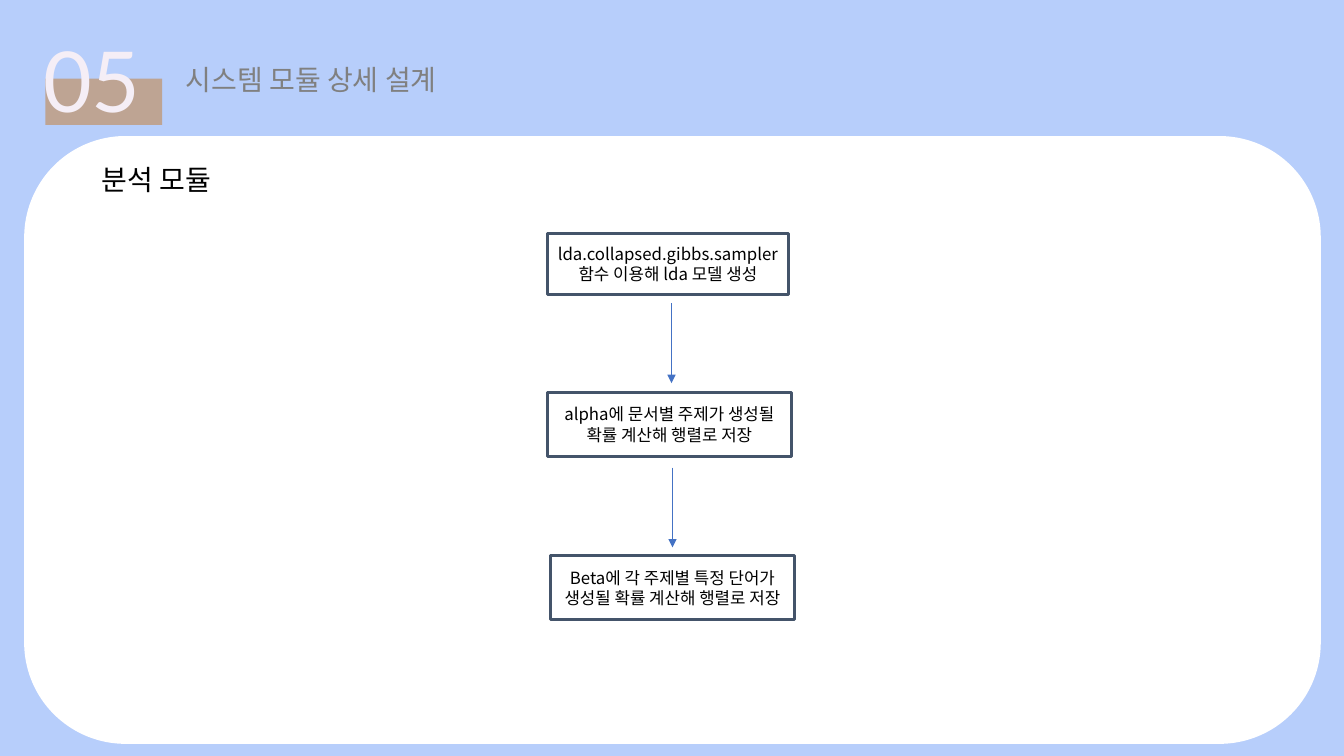
from lxml import etree
from pptx import Presentation
from pptx.dml.color import RGBColor
from pptx.enum.shapes import MSO_CONNECTOR, MSO_SHAPE
from pptx.enum.text import MSO_ANCHOR, MSO_AUTO_SIZE, PP_ALIGN
from pptx.oxml.ns import qn
from pptx.util import Inches, Pt

RECTANGLE, ROUNDED = MSO_SHAPE.RECTANGLE, MSO_SHAPE.ROUNDED_RECTANGLE
STRAIGHT = MSO_CONNECTOR.STRAIGHT
TOP, MIDDLE = MSO_ANCHOR.TOP, MSO_ANCHOR.MIDDLE
LEFT, CENTER = PP_ALIGN.LEFT, PP_ALIGN.CENTER
NO_AUTOFIT = MSO_AUTO_SIZE.NONE

THEME = {
    "background": "B7CEFB", "badge": "BEA493", "number": "F5EEF6",
    "title": "808080", "panel": "FFFFFF", "text": "000000",
    "border": "44546A", "arrow": "4472C4",
    "latin": "Lato", "korean": "Noto Sans CJK KR",
    "number size": 60, "heading size": 20, "step size": 12,
}


def color(name):
    return RGBColor.from_string(THEME[name])


def write(shape, text, *, size, ink, font="korean", align=LEFT, anchor=TOP):
    frame = shape.text_frame
    frame.word_wrap = True
    frame.auto_size = NO_AUTOFIT
    frame.vertical_anchor = anchor
    para = frame.paragraphs[0]
    para.alignment = align
    span = para.add_run()
    span.text = text
    span.font.size = Pt(THEME[size])
    span.font.name = THEME[font]
    span.font.color.rgb = color(ink)
    east_asian = etree.SubElement(span.font._element, qn("a:ea"))
    east_asian.set("typeface", THEME["korean"])


# Page
deck = Presentation()
deck.slide_width, deck.slide_height = Inches(13.33), Inches(7.5)
page = deck.slides.add_slide(deck.slide_layouts[5])
page.background.fill.solid()
page.background.fill.fore_color.rgb = color("background")

# Number badge and content panel
for kind, fill, area in (
    (RECTANGLE, "badge", (0.45, 0.78, 1.16, 0.46)),
    (ROUNDED, "panel", (0.24, 1.35, 12.86, 6.03)),
):
    block = page.shapes.add_shape(kind, *map(Inches, area))
    block.shadow.inherit = False
    block.fill.solid()
    block.fill.fore_color.rgb = color(fill)
    block.line.fill.background()

# Section number, title and subheading
number = page.shapes.add_textbox(Inches(0.33), Inches(0.23), Inches(1.28), Inches(1.11))
write(number, "05", size="number size", ink="number", font="latin")

title = page.shapes.title
title.left, title.top = Inches(1.74), Inches(0.57)
title.width, title.height = Inches(3.11), Inches(0.44)
write(title, "시스템 모듈 상세 설계", size="heading size", ink="title", font="latin")

subheading = page.shapes.add_textbox(Inches(0.91), Inches(1.56), Inches(3), Inches(0.44))
write(subheading, "분석 모듈", size="heading size", ink="text")

# Steps of the analysis module
steps = (
    ("lda.collapsed.gibbs.sampler 함수 이용해 lda 모델 생성", (5.43, 2.32, 2.39, 0.6)),
    ("alpha에 문서별 주제가 생성될 확률 계산해 행렬로 저장", (5.43, 3.89, 2.42, 0.64)),
    ("Beta에 각 주제별 특정 단어가 생성될 확률 계산해 행렬로 저장", (5.46, 5.51, 2.42, 0.64)),
)
for text, area in steps:
    step = page.shapes.add_shape(RECTANGLE, *map(Inches, area))
    step.shadow.inherit = False
    step.fill.solid()
    step.fill.fore_color.rgb = color("panel")
    step.line.color.rgb = color("border")
    step.line.width = Pt(2.25)
    write(step, text, size="step size", ink="text", align=CENTER, anchor=MIDDLE)

# Arrows between the steps
for x, y in ((6.66, 3.01), (6.67, 4.64)):
    arrow = page.shapes.add_connector(
        STRAIGHT, Inches(x), Inches(y), Inches(x), Inches(y + 0.79))
    arrow.line.color.rgb = color("arrow")
    arrow.line.width = Pt(0.5)
    properties = arrow._element.spPr
    line = properties.find(qn("a:ln"))
    etree.SubElement(line, qn("a:tailEnd")).set("type", "triangle")
    etree.SubElement(properties, qn("a:effectLst"))

deck.save("out.pptx")
